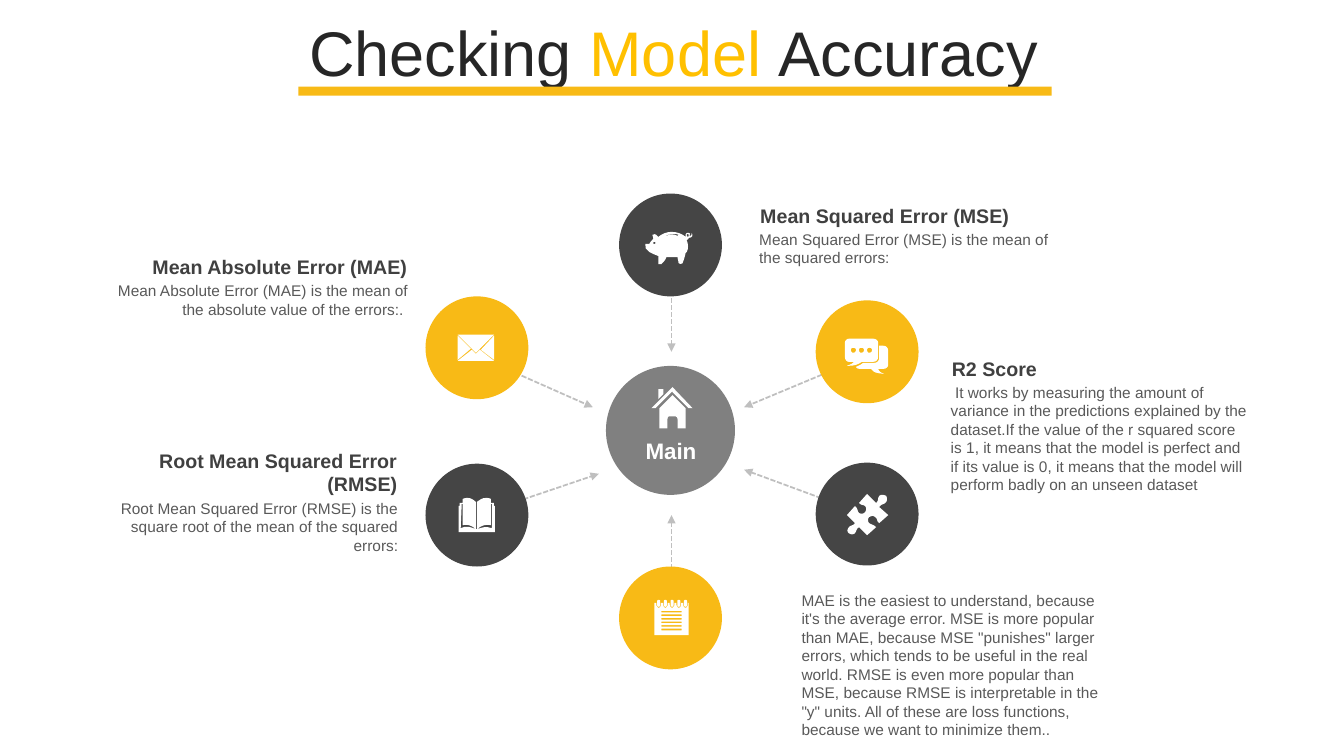
from dataclasses import dataclass

from pptx import Presentation
from pptx.dml.color import RGBColor
from pptx.enum import dml, shapes, text
from pptx.oxml import ns
from pptx.util import Inches, Pt
from lxml import etree


@dataclass(frozen=True)
class Theme:
    """Colours, font and type sizes of the slide."""
    font: str = "Arial"
    gold: str = "F8BA16"
    dark: str = "454545"
    hub: str = "808080"
    arrow: str = "BFBFBF"
    white: str = "FFFFFF"
    ink: str = "262626"
    accent: str = "FFC000"
    head: str = "404040"
    body: str = "595959"
    title_size: int = 45
    hub_size: int = 16
    head_size: int = 14
    body_size: int = 11


THEME = Theme()
LEFT, MID, RIGHT = text.PP_ALIGN.LEFT, text.PP_ALIGN.CENTER, text.PP_ALIGN.RIGHT
NODE, HUB = 1.02, 1.28

NODES = [
    (4.73, 3.45, THEME.gold, (4.73, 3.53), (5.88, 4.04)),
    (6.65, 2.43, THEME.dark, (6.66, 2.75), (6.66, 3.49)),
    (8.6, 3.49, THEME.gold, (8.6, 3.53), (7.38, 4.04)),
    (8.6, 5.1, THEME.dark, (8.6, 5.11), (7.38, 4.66)),
    (6.65, 6.13, THEME.gold, (6.66, 6.13), (6.66, 5.11)),
    (4.73, 5.11, THEME.dark, (4.73, 5.11), (5.94, 4.7)),
]

NOTES = [
    (7.53, 2.02, 3.11, 1, 2, LEFT, "Mean Squared Error (MSE)",
     "Mean Squared Error (MSE) is the mean of the squared errors:"),
    (0.99, 4.45, 2.96, 2, 3, RIGHT, "Root Mean Squared Error (RMSE)",
     "Root Mean Squared Error (RMSE) is the square root of the mean of the squared errors:"),
    (1.09, 2.53, 2.96, 1, 2, RIGHT, "Mean Absolute Error (MAE)",
     "Mean Absolute Error (MAE) is the mean of the absolute value of the errors:. "),
    (9.43, 3.54, 2.96, 1, 6, LEFT, "R2 Score",
     " It works by measuring the amount of variance in the predictions explained by the "
     "dataset.If the value of the r squared score is 1, it means that the model is perfect "
     "and if its value is 0, it means that the model will perform badly on an unseen dataset"),
]

SUMMARY = (
    "MAE is the easiest to understand, because it's the average error. MSE is more popular "
    "than MAE, because MSE \"punishes\" larger errors, which tends to be useful in the real "
    "world. RMSE is even more popular than MSE, because RMSE is interpretable in the \"y\" "
    "units. All of these are loss functions, because we want to minimize them..")

MAIL = """M 476 347 L 490 358 454 358 468 347 472 351 M 490 333 L 490 357 477 347
M 454 333 L 467 346 454 357 M 454 332 L 490 332 472 350"""

HOUSE = """M 667 392 L 680 405 680 425 672 425 672 416 C 672 414 671 413 669 413
L 664 413 C 663 413 662 414 662 416 L 662 425 654 425 654 405
M 653 386 L 658 386 658 391 653 396 M 667 384 L 687 405 683 405 667 389
M 667 384 L 667 388 650 405 646 405"""

PUZZLE = """M 879 492 C 880 494 880 496 879 498 877 501 875 499 872 503 L 881 511 872 519
C 869 517 871 515 868 513 866 511 864 512 862 513 861 514 860 517 862 519
865 521 866 520 869 523 L 860 531 852 523 C 849 525 850 526 848 529
846 531 843 530 842 529 840 528 840 525 842 523 843 521 846 522 848 519
L 840 511 848 502 C 851 504 850 507 852 509 854 510 857 510 858 508
859 507 860 504 858 502 855 500 855 502 852 499 L 860 490 869 499
C 872 496 870 495 872 492 874 490 877 491 879 492"""

BOOK = """M 472 525 C 472 525 473 525 473 525 479 523 482 522 488 524 L 488 500 487 500
C 487 507 487 514 487 521 482 520 478 521 473 525 L 473 500 473 498
C 476 496 478 494 482 494 483 494 485 494 487 495 487 496 487 497 487 499
L 490 499 490 502 491 502 491 528 455 528 455 502 456 502 456 499 459 499
C 459 497 459 496 459 495 461 494 463 494 464 494 467 494 470 496 472 498
L 472 525 C 468 521 463 520 459 521 L 459 500 458 500 457 524
C 463 521 467 523 472 525"""

FACE = """M 649 240 C 648 240 648 240 648 241 648 242 648 242 649 242
650 242 650 242 650 241 650 240 650 240 649 240
M 682 232 C 682 232 681 233 681 233 681 234 682 235 682 235
683 235 683 234 683 233 683 233 683 232 682 232
M 667 232 C 664 232 662 233 660 234 L 661 234 C 664 232 669 232 672 234
L 673 233 C 671 232 669 232 667 232 """

PIG = """M 666 230 C 671 230 677 232 680 235 L 681 236 C 681 236 681 236 681 236
680 235 680 235 680 233 680 232 681 231 682 231 684 231 685 232 684 233
684 234 684 234 684 234 685 234 686 234 686 231 688 234 686 236 683 236
683 237 682 238 681 238 681 238 681 238 681 238 L 682 241
C 683 245 682 250 680 251 679 256 678 258 677 261 677 262 673 262 673 261
673 259 672 257 672 255 668 255 663 255 661 255 660 258 658 260 656 262
L 653 262 C 653 262 653 257 653 254 648 252 638 249 640 242
640 242 642 242 644 242 645 240 646 239 648 237 648 236 647 233 647 233
651 231 651 234 653 235 656 232 662 230 666 230"""

CHAT = """M 872 343 L 876 343 C 879 343 881 345 881 348
L 881 362 C 881 364 879 366 876 366 L 871 366 C 872 368 872 369 877 371
869 370 867 370 864 366 L 853 366 C 851 366 849 365 849 364 851 363 854 362 856 360
L 867 360 C 870 360 872 358 872 355
M 842 336 L 866 336 C 869 336 871 338 871 340 L 871 354 C 871 357 869 359 866 359
L 855 359 C 850 362 848 363 840 363 845 361 845 361 847 359 L 842 359
C 840 359 838 357 838 354 L 838 340 C 838 338 840 336 842 336"""


def dots():
    """Outline the three dots of the chat bubble."""
    return "".join(
        f"M {x} 345 C {x - 1} 345 {x - 2} 346 {x - 2} 347 {x - 2} 349 {x - 1} 350 {x} 350 "
        f"{x + 2} 350 {x + 3} 349 {x + 3} 347 {x + 3} 346 {x + 2} 345 {x} 345 "
        for x in (846, 854, 862))


def pad():
    """Outline a notepad with ruled lines and ring binding."""
    rings = [653.3 + 6.65 * i for i in range(5)]
    rules = [606 + 3.55 * i for i in range(6)]
    page = "M 649 598 " + "".join(
        f"L {x - 2.3} 598 {x - 2.3} 600 C {x - 2.3} 601 {x - 1.3} 603 {x} 603 "
        f"{x + 1.3} 603 {x + 2.3} 601 {x + 2.3} 600 L {x + 2.3} 598 " for x in rings)
    loops = "".join(
        f"M {x} 595 C {x + 1} 595 {x + 1.5} 596 {x + 1.5} 596 L {x + 1.5} 600 "
        f"C {x + 1.5} 601 {x + 1} 602 {x} 602 {x - 1} 602 {x - 1.5} 601 {x - 1.5} 600 "
        f"L {x - 1.5} 596 C {x - 1.5} 596 {x - 1} 595 {x} 595 " for x in rings)
    lines = "".join(
        f"M 656 {y} L 676 {y} 676 {y + 1.6} 656 {y + 1.6} " for y in rules)
    return page + "L 683 598 683 630 649 630 " + loops + lines


def pairs(track):
    """Read points in hundredths of an inch."""
    nums = [Inches(float(n) / 100) for n in track.split()]
    return list(zip(nums[::2], nums[1::2]))


def bend(a, b, c, d, steps=4):
    """Sample a cubic curve after its first point."""
    for t in (i / steps for i in range(1, steps + 1)):
        s = 1 - t
        yield tuple(s**3 * p + 3 * s * s * t * q + 3 * s * t * t * r + t**3 * e
                    for p, q, r, e in zip(a, b, c, d))


def trace(ring):
    """Turn one contour into a list of points."""
    points = []
    for part in ring.split("L"):
        line, *arcs = part.split("C")
        points += pairs(line)
        for arc in map(pairs, arcs):
            for i in range(0, len(arc), 3):
                points += bend(points[-1], *arc[i:i + 3])
    return points


def paint(shape, color):
    """Give a shape a flat fill without line or shadow."""
    shape.shadow.inherit = False
    shape.fill.solid()
    shape.fill.fore_color.rgb = RGBColor.from_string(color)
    shape.line.fill.background()


def icon(slide, track):
    """Draw a white icon from its contours."""
    first, *rest = [trace(ring) for ring in track.split("M")[1:]]
    pen = slide.shapes.build_freeform(*first[0], scale=1.0)
    pen.add_line_segments(first[1:], close=True)
    for ring in rest:
        pen.move_to(*ring[0])
        pen.add_line_segments(ring[1:], close=True)
    paint(pen.convert_to_shape(), THEME.white)


def disc(slide, x, y, size, color):
    """Draw a circle around a centre."""
    box = [Inches(v) for v in (x - size / 2, y - size / 2, size, size)]
    paint(slide.shapes.add_shape(shapes.MSO_SHAPE.OVAL, *box), color)


def arrow(slide, start, end):
    """Draw a dashed arrow."""
    ends = [Inches(v) for v in start + end]
    link = slide.shapes.add_connector(shapes.MSO_CONNECTOR.STRAIGHT, *ends)
    link.line.color.rgb = RGBColor.from_string(THEME.arrow)
    link.line.width = Pt(1.25)
    link.line.dash_style = dml.MSO_LINE.SQUARE_DOT
    etree.SubElement(link.line._get_or_add_ln(), ns.qn("a:tailEnd"), type="triangle")
    etree.SubElement(link._element.spPr, ns.qn("a:effectLst"))


def style(para, size, color, bold, align):
    """Set the type of a paragraph."""
    para.alignment = align
    font = para.font
    font.name, font.size, font.bold = THEME.font, Pt(size), bold
    font.color.rgb = RGBColor.from_string(color)


def label(slide, box, words, size, color, bold=False, align=LEFT):
    """Add a text box without margins."""
    frame = slide.shapes.add_textbox(*[Inches(v) for v in box]).text_frame
    frame.margin_left = frame.margin_right = frame.margin_top = frame.margin_bottom = 0
    frame.word_wrap = True
    frame.auto_size = text.MSO_AUTO_SIZE.SHAPE_TO_FIT_TEXT
    frame.text = words
    style(frame.paragraphs[0], size, color, bold, align)


def note(slide, x, y, wide, rows, lines, align, head, body):
    """Add a heading with its explanation below."""
    tall = 0.24 * rows
    label(slide, (x, y + tall + 0.02, wide, 0.185 * lines), body,
          THEME.body_size, THEME.body, align=align)
    label(slide, (x + 0.01, y, wide - 0.02, tall), head,
          THEME.head_size, THEME.head, True, align)


def title(slide):
    """Fill the title and underline it."""
    hold = slide.shapes.title
    hold.left, hold.top, hold.width, hold.height = [
        Inches(v) for v in (0.35, 0.16, 12.66, 0.79)]
    frame = hold.text_frame
    frame.vertical_anchor = text.MSO_ANCHOR.MIDDLE
    frame.auto_size = text.MSO_AUTO_SIZE.NONE
    para = frame.paragraphs[0]
    para.line_spacing = 0.9
    style(para, THEME.title_size, THEME.ink, False, MID)
    for word in ("Checking ", "Model ", "Accuracy"):
        run = para.add_run()
        run.text = word
        if word == "Model ":
            run.font.color.rgb = RGBColor.from_string(THEME.accent)
    bar = [Inches(v) for v in (2.96, 0.86, 7.47, 0.09)]
    paint(slide.shapes.add_shape(shapes.MSO_SHAPE.RECTANGLE, *bar), THEME.gold)


def main():
    """Build the slide and save it."""
    deck = Presentation()
    deck.slide_width, deck.slide_height = Inches(13.33), Inches(7.5)
    slide = deck.slides.add_slide(deck.slide_layouts[5])
    title(slide)
    for *_, start, end in NODES:
        arrow(slide, start, end)
    disc(slide, 6.65, 4.27, HUB, THEME.hub)
    for x, y, color, *_ in NODES:
        disc(slide, x, y, NODE, color)
    for item in NOTES:
        note(slide, *item)
    label(slide, (7.95, 5.86, 2.96, 1.48), SUMMARY, THEME.body_size, THEME.body)
    label(slide, (6.02, 4.34, 1.27, 0.27), "Main", THEME.hub_size, THEME.white, True, MID)
    for track in (MAIL, pad(), PUZZLE, BOOK, dots() + CHAT, HOUSE, FACE + PIG):
        icon(slide, track)
    deck.save("out.pptx")


if __name__ == "__main__":
    main()
